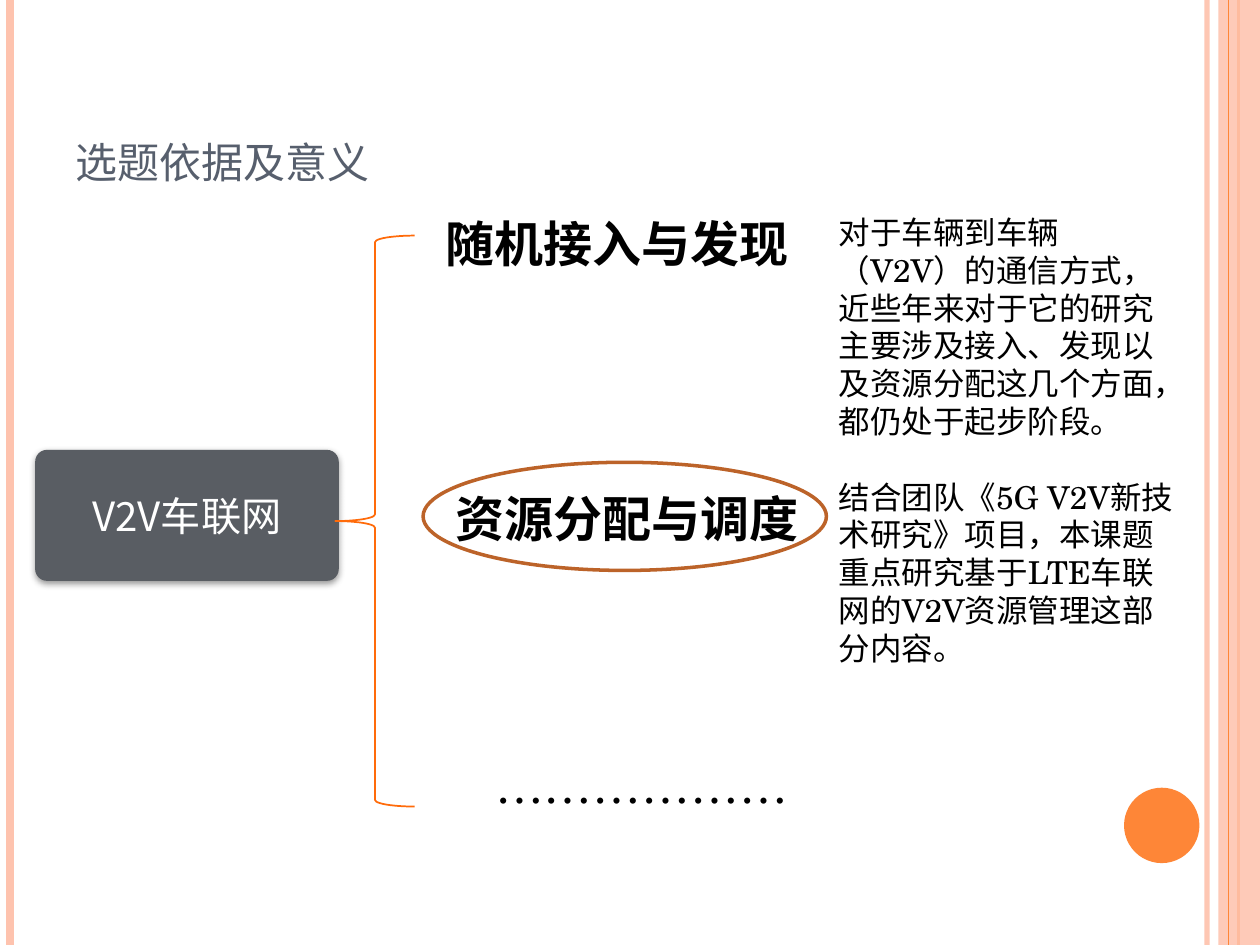
"""Build the slide on the basis and meaning of the V2V topic."""
from dataclasses import dataclass

import pptx
import pptx.dml.color
import pptx.enum.lang
import pptx.enum.shapes
import pptx.enum.text
import pptx.oxml.ns
import pptx.util
from lxml import etree

Cm = pptx.util.Cm
Pt = pptx.util.Pt
qn = pptx.oxml.ns.qn
Kind = pptx.enum.shapes.MSO_SHAPE
Align = pptx.enum.text.PP_ALIGN
Anchor = pptx.enum.text.MSO_ANCHOR
Fit = pptx.enum.text.MSO_AUTO_SIZE


@dataclass(frozen=True)
class Theme:
    serif: str = "TeX Gyre Schola"
    sans: str = "Noto Sans CJK SC"
    peach: str = "FEC3AE"
    orange: str = "FE8637"
    brace: str = "FF6B0A"
    ring: str = "BC6329"
    slate: str = "595D63"
    title: str = "575F6D"
    ink: str = "000000"
    paper: str = "FFFFFF"
    head: int = 30
    topic: int = 28
    hub: int = 23
    body: int = 18
    gap: float = 21.6


THEME = Theme()


def rgb(code):
    return pptx.dml.color.RGBColor.from_string(code)


def fade(item, share):
    for color in item.element.spPr.iter(qn("a:srgbClr")):
        etree.SubElement(color, qn("a:alpha"), val=str(share * 1000))


def add_rule(slide, x, color, width):
    rule = slide.shapes.add_connector(
        pptx.enum.shapes.MSO_CONNECTOR.STRAIGHT, Cm(x), Cm(0), Cm(x), Cm(19.05))
    rule.line.color.rgb = rgb(color)
    rule.line.width = Pt(width)
    etree.SubElement(rule.element.spPr, qn("a:effectLst"))
    return rule


def add_form(slide, kind, box, fill=None, line=None, width=1):
    form = slide.shapes.add_shape(kind, *map(Cm, box))
    form.shadow.inherit = False
    if fill:
        form.fill.solid()
        form.fill.fore_color.rgb = rgb(fill)
    else:
        form.fill.background()
    if line:
        form.line.color.rgb = rgb(line)
        form.line.width = Pt(width)
    else:
        form.line.fill.background()
    return form


def cast_shade(form):
    shade = etree.SubElement(
        form.element.spPr.find(qn("a:effectLst")), qn("a:outerShdw"),
        blurRad=str(Pt(4)), dist=str(Pt(1.6)), dir="5400000", rotWithShape="0")
    color = etree.SubElement(shade, qn("a:srgbClr"), val=THEME.ink)
    etree.SubElement(color, qn("a:alpha"), val="42000")


def style_text(frame, size, color, face=THEME.serif, bold=False):
    for para in frame.paragraphs:
        for run in para.runs:
            font = run.font
            font.name = face
            font.size = Pt(size)
            font.bold = bold
            font.color.rgb = rgb(color)
            font.language_id = pptx.enum.lang.MSO_LANGUAGE_ID.SIMPLIFIED_CHINESE
            latin = run.font._element.find(qn("a:latin"))
            east = etree.Element(qn("a:ea"), typeface=THEME.sans)
            latin.addnext(east)


def add_text(slide, box, text, size, color=THEME.ink, bold=False, wrap=True):
    frame = slide.shapes.add_textbox(*map(Cm, box)).text_frame
    frame.text = text
    frame.word_wrap = wrap
    style_text(frame, size, color, bold=bold)
    return frame


def add_frame(slide):
    fade(add_rule(slide, 24.33, THEME.peach, 3), 93)
    add_rule(slide, 0.2, THEME.peach, 4.5)
    add_rule(slide, 24.97, THEME.orange, 1.5)
    fade(add_form(slide, Kind.RECTANGLE, (24.56, 0, 0.84, 19.05), THEME.peach), 87)
    add_rule(slide, 24.77, THEME.orange, 0.75)
    add_form(slide, Kind.OVAL, (22.66, 15.88, 1.52, 1.52), THEME.orange)


def add_title(slide, text):
    frame = add_text(slide, (1.27, 0.76, 20.75, 3.18), text, THEME.head, THEME.title)
    frame.vertical_anchor = Anchor.BOTTOM
    for run in frame.paragraphs[0].runs:
        run.font._element.set("cap", "small")


def add_hub(slide, text):
    hub = add_form(slide, Kind.ROUNDED_RECTANGLE, (0.71, 9.07, 6.12, 2.64), THEME.slate)
    hub.adjustments[0] = 0.09
    cast_shade(hub)
    frame = hub.text_frame
    frame.text = text
    frame.vertical_anchor = Anchor.MIDDLE
    frame.paragraphs[0].alignment = Align.CENTER
    style_text(frame, THEME.hub, THEME.paper, THEME.sans)


def add_topics(slide):
    topics = (
        ("随机接入与发现", 8.74, 4.17, 7.49, True),
        ("资源分配与调度", 8.94, 9.73, 7.49, True),
        ("………………", 9.73, 15.09, 6.5, False),
    )
    for text, left, top, width, bold in topics:
        frame = add_text(slide, (left, top, width, 1.45), text, THEME.topic,
                         bold=bold, wrap=False)
        frame.auto_size = Fit.SHAPE_TO_FIT_TEXT


def add_notes(slide):
    text = "\n".join((
        "对于车辆到车辆（V2V）的通信方式，近些年来对于它的研究主要涉及接入、"
        "发现以及资源分配这几个方面，都仍处于起步阶段。",
        "结合团队《5G V2V新技术研究》项目，本课题重点研究基于LTE车联网的"
        "V2V资源管理这部分内容。",
    ))
    frame = add_text(slide, (16.66, 4.17, 7.34, 11.79), text, THEME.body)
    frame.paragraphs[1].space_before = Pt(THEME.gap)


def main():
    deck = pptx.Presentation()
    deck.slide_width, deck.slide_height = Cm(25.4), Cm(19.05)
    slide = deck.slides.add_slide(deck.slide_layouts[6])
    add_frame(slide)
    add_title(slide, "选题依据及意义")
    add_hub(slide, "V2V车联网")
    add_form(slide, Kind.LEFT_BRACE, (6.76, 4.75, 1.6, 11.51), line=THEME.brace)
    add_topics(slide)
    add_form(slide, Kind.OVAL, (8.53, 9.32, 8.13, 2.18), line=THEME.ring, width=2)
    add_notes(slide)
    deck.save("out.pptx")


if __name__ == "__main__":
    main()
